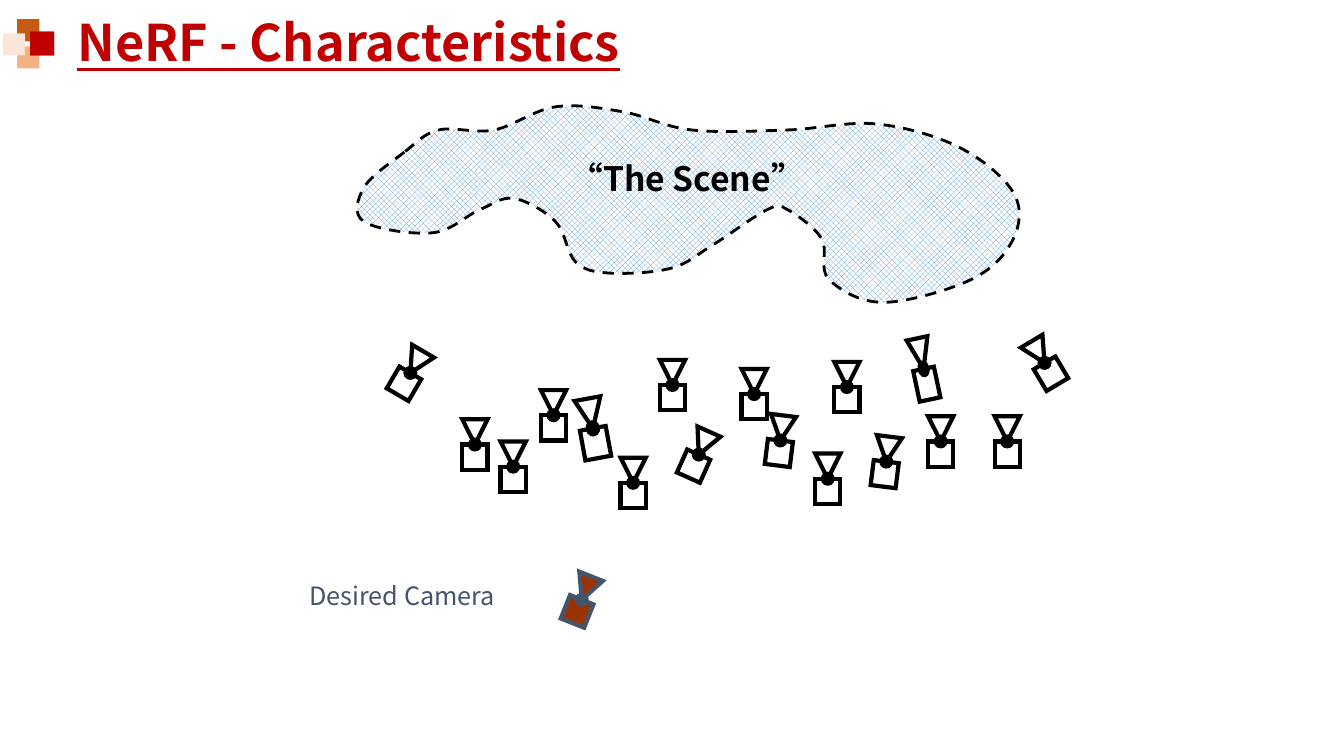
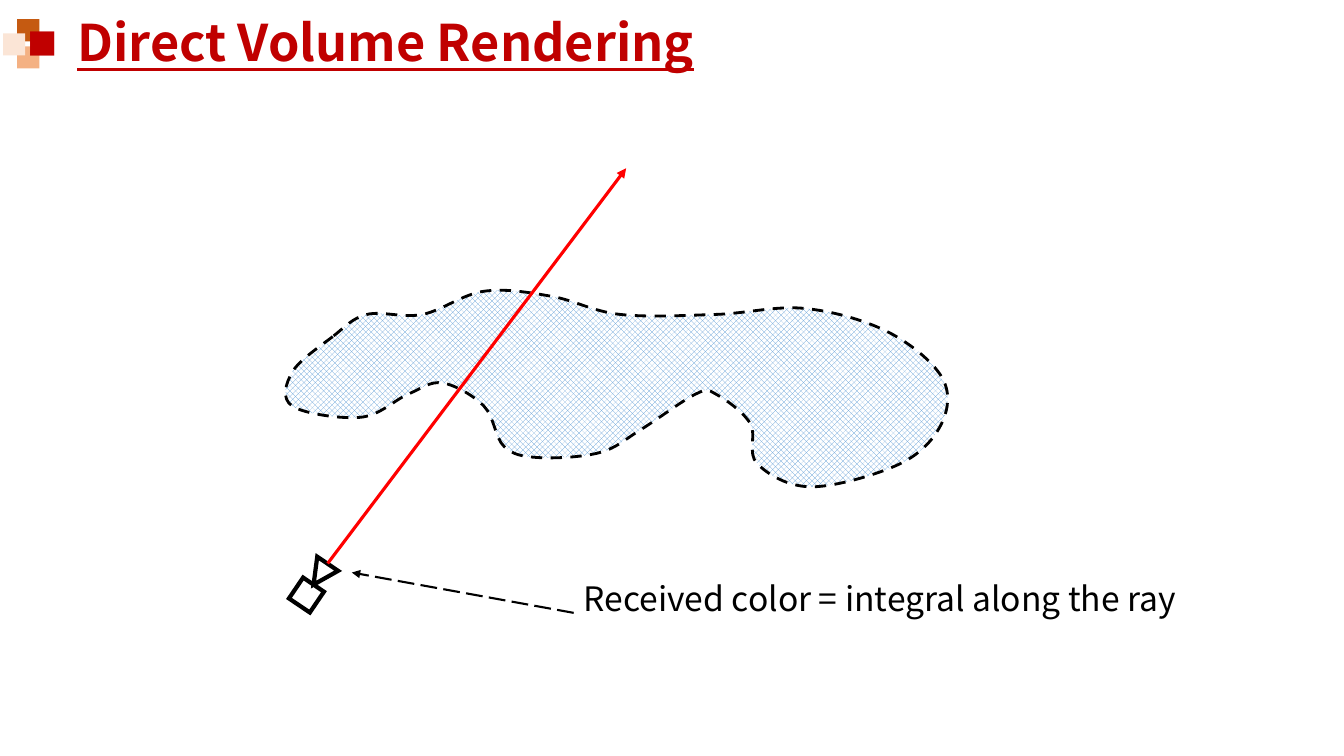
import math

import lxml.etree
import pptx
import pptx.dml.color
import pptx.enum.dml
import pptx.enum.shapes
import pptx.enum.text
import pptx.oxml.ns
import pptx.util

Inches = pptx.util.Inches
Pt = pptx.util.Pt
RGBColor = pptx.dml.color.RGBColor
Shape = pptx.enum.shapes.MSO_SHAPE
Dash = pptx.enum.dml.MSO_LINE
qn = pptx.oxml.ns.qn

CRIMSON = RGBColor(0xC0, 0x00, 0x00)
RED = RGBColor(0xFF, 0x00, 0x00)
BLACK = RGBColor(0x00, 0x00, 0x00)
WHITE = RGBColor(0xFF, 0xFF, 0xFF)
SLATE = RGBColor(0x44, 0x54, 0x6A)
RUST = RGBColor(0x99, 0x33, 0x00)
SKY = RGBColor(0x5B, 0x9B, 0xD5)
PEACH = RGBColor(0xF4, 0xB1, 0x83)
ORANGE = RGBColor(0xC5, 0x5A, 0x11)
CREAM = RGBColor(0xFB, 0xE5, 0xD6)

TITLE_FORMAT = {"name": "Noto Sans CJK SC", "size": Pt(36), "bold": True, "underline": True}
LABEL_FORMAT = {"name": "Noto Sans CJK TC", "size": Pt(24)}
SCENE_FORMAT = {**LABEL_FORMAT, "bold": True}
CAMERA_FORMAT = {**LABEL_FORMAT, "size": Pt(18)}

TITLE_BOX = (0.17, 0.11, 11.5, 0.68)
CORNER_SQUARES = [(0, 0.35, PEACH), (0, 0.08, ORANGE), (-0.14, 0.22, CREAM)]

SCENE_SIZE = (6.65, 1.97)
SCENE_KNOTS = [
    (0.52, 0.48), (0.12, 0.83), (0.12, 1.17), (0.80, 1.28), (1.27, 1.05), (1.61, 0.94),
    (2.02, 1.17), (2.22, 1.57), (2.56, 1.68), (3.17, 1.63), (3.58, 1.40), (4.12, 1.05),
    (4.32, 1.05), (4.66, 1.34), (4.73, 1.74), (5.27, 1.97), (6.15, 1.74), (6.56, 1.34),
    (6.56, 0.88), (6.02, 0.43), (5.20, 0.20), (4.32, 0.26), (3.37, 0.26), (2.69, 0.08),
    (2.02, 0.03), (1.41, 0.26), (0.86, 0.26),
]

UPRIGHT_CAMERAS = [
    (5.09, 4.63), (6.67, 3.82), (4.71, 4.41), (7.48, 3.91), (5.49, 4.12),
    (6.28, 4.79), (8.40, 3.84), (8.21, 4.75), (9.99, 4.38), (9.33, 4.38),
]
TURNED_CAMERAS = [
    (4.07, 3.70, 30.3), (6.93, 4.51, 24.1), (5.88, 4.25, 349.6, 0.26, 0.3),
    (8.79, 4.58, 7.2), (7.74, 4.37, 7.1), (10.36, 3.6, 329.2),
    (9.16, 3.66, 348, 0.21, 0.31),
]


def apply_format(target, format_values):
    for name, value in format_values.items():
        setattr(target, name, value)


def add_line_part(line, tag, **attributes):
    part = lxml.etree.SubElement(line._get_or_add_ln(), qn(tag))
    for name, value in attributes.items():
        part.set(name, value)


def paint(shape, fill_color, line_color=None, line_width=1):
    shape.shadow.inherit = False
    if fill_color is None:
        shape.fill.background()
    else:
        shape.fill.solid()
        shape.fill.fore_color.rgb = fill_color
    if line_color is None:
        shape.line.fill.background()
    else:
        shape.line.color.rgb = line_color
        shape.line.width = Pt(line_width)
        add_line_part(shape.line, "a:miter", lim="800000")


def add_text(slide, box, text, format_values, color, wrap=False, grow=True):
    shape = slide.shapes.add_textbox(*map(Inches, box))
    frame = shape.text_frame
    frame.word_wrap = wrap
    if grow:
        frame.auto_size = pptx.enum.text.MSO_AUTO_SIZE.SHAPE_TO_FIT_TEXT
    run = frame.paragraphs[0].add_run()
    run.text = text
    apply_format(run.font, format_values)
    run.font.color.rgb = color
    return frame


def add_title(slide, box, text):
    left, top = box[:2]
    for offset_x, offset_y, color in CORNER_SQUARES:
        position = map(Inches, (left + offset_x, top + offset_y, 0.22, 0.22))
        paint(slide.shapes.add_shape(Shape.RECTANGLE, *position), color)
    frame = add_text(slide, box, text, TITLE_FORMAT, CRIMSON, wrap=True, grow=False)
    frame.vertical_anchor = pptx.enum.text.MSO_ANCHOR.MIDDLE
    paragraph = frame.paragraphs[0]
    paragraph.line_spacing = 0.9
    properties = paragraph._p.get_or_add_pPr()
    properties.set("marL", str(Inches(0.5)))
    properties.set("indent", str(-Inches(0.5)))
    for tag, name, value in [
        ("a:buSzPct", "val", "60000"),
        ("a:buFont", "typeface", TITLE_FORMAT["name"]),
        ("a:buChar", "char", "■"),
    ]:
        lxml.etree.SubElement(properties, qn(tag)).set(name, value)


def add_path_step(outline, tag, points):
    step = lxml.etree.SubElement(outline, qn(tag))
    for x, y in points:
        point = lxml.etree.SubElement(step, qn("a:pt"))
        point.set("x", str(Inches(x)))
        point.set("y", str(Inches(y)))


def curve_through(outline, knots):
    for child in list(outline):
        outline.remove(child)
    add_path_step(outline, "a:moveTo", knots[:1])
    count = len(knots)
    for index in range(count):
        before, start, end, after = (knots[(index + shift) % count] for shift in (-1, 0, 1, 2))
        leaving = [b + (c - a) / 6 for a, b, c in zip(before, start, end)]
        arriving = [c - (d - b) / 6 for b, c, d in zip(start, end, after)]
        add_path_step(outline, "a:cubicBezTo", [leaving, arriving, end])
    lxml.etree.SubElement(outline, qn("a:close"))


def add_scene(slide, left, top):
    width, height = map(Inches, SCENE_SIZE)
    builder = slide.shapes.build_freeform(0, 0)
    builder.add_line_segments([(width, 0), (width, height)], close=True)
    shape = builder.convert_to_shape(Inches(left), Inches(top))
    curve_through(shape._element.spPr.find(".//" + qn("a:path")), SCENE_KNOTS)
    shape.shadow.inherit = False
    shape.fill.patterned()
    shape.fill.pattern = pptx.enum.dml.MSO_PATTERN.LARGE_CHECKER_BOARD
    shape.fill.fore_color.rgb = SKY
    shape.fill.back_color.rgb = WHITE
    shape.line.color.rgb = BLACK
    apply_format(shape.line, {"width": Pt(2), "dash_style": Dash.DASH})


def add_camera(slide, x, y, rotation=0, width=0.25, height=0.25,
               body_color=WHITE, lens_color=None, line_color=BLACK, joint=True):
    angle = math.radians(rotation)
    parts = [
        (Shape.RECTANGLE, 0.5, 1, 0, body_color, 3),
        (Shape.OVAL, 0, 0.5, 0, line_color, 1),
        (Shape.ISOSCELES_TRIANGLE, -0.5, 1, 180, lens_color, 3),
    ]
    for kind, shift, scale, turn, fill_color, line_width in parts:
        if kind == Shape.OVAL and not joint:
            continue
        center_x = x - shift * height * math.sin(angle)
        center_y = y + shift * height * math.cos(angle)
        part_width, part_height = width * scale, height * scale
        shape = slide.shapes.add_shape(
            kind, Inches(center_x - part_width / 2), Inches(center_y - part_height / 2),
            Inches(part_width), Inches(part_height))
        shape.rotation = (rotation + turn) % 360
        paint(shape, fill_color, line_color, line_width)


def add_arrow(slide, start, end, color, format_values):
    connector = slide.shapes.add_connector(
        pptx.enum.shapes.MSO_CONNECTOR.STRAIGHT, *map(Inches, start + end))
    connector.line.color.rgb = color
    apply_format(connector.line, format_values)
    add_line_part(connector.line, "a:tailEnd", type="triangle")
    lxml.etree.SubElement(connector._element.spPr, qn("a:effectLst"))


def add_characteristics_slide(slide):
    add_title(slide, TITLE_BOX, "NeRF - Characteristics")
    add_scene(slide, 3.49, 1.03)
    add_text(slide, (5.55, 1.52, 2.54, 0.5), "“The Scene”", SCENE_FORMAT, BLACK)
    for camera in TURNED_CAMERAS + UPRIGHT_CAMERAS:
        add_camera(slide, *camera)
    add_text(slide, (2.97, 5.71, 2.09, 0.4), "Desired Camera", CAMERA_FORMAT, SLATE)
    add_camera(slide, 5.77, 5.95, 21.7, body_color=RUST, lens_color=RUST, line_color=SLATE)


def add_rendering_slide(slide):
    add_title(slide, TITLE_BOX, "Direct Volume Rendering")
    add_scene(slide, 2.78, 2.86)
    add_camera(slide, 3.11, 5.8, 34.1, joint=False)
    add_arrow(slide, (3.25, 5.59), (6.21, 1.67), RED, {"width": Pt(2.25)})
    add_arrow(slide, (5.69, 6.08), (3.49, 5.68), BLACK,
              {"width": Pt(1.5), "dash_style": Dash.LONG_DASH})
    add_text(slide, (5.69, 5.68, 6.25, 0.5), "Received color = integral along the ray",
             LABEL_FORMAT, BLACK, wrap=True)


def main():
    presentation = pptx.Presentation()
    apply_format(presentation, {"slide_width": Inches(13.33), "slide_height": Inches(7.5)})
    blank_layout = presentation.slide_layouts[6]
    for build in (add_characteristics_slide, add_rendering_slide):
        build(presentation.slides.add_slide(blank_layout))
    presentation.save("out.pptx")


if __name__ == "__main__":
    main()
